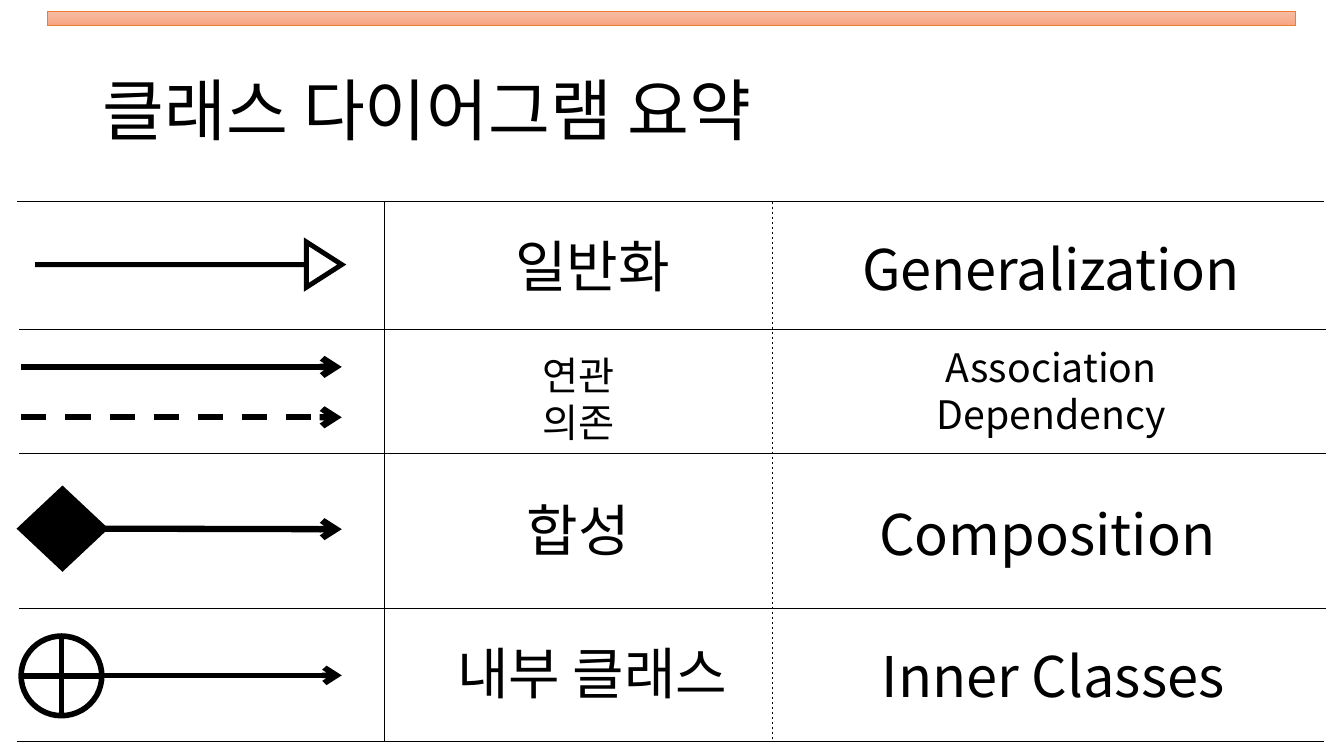
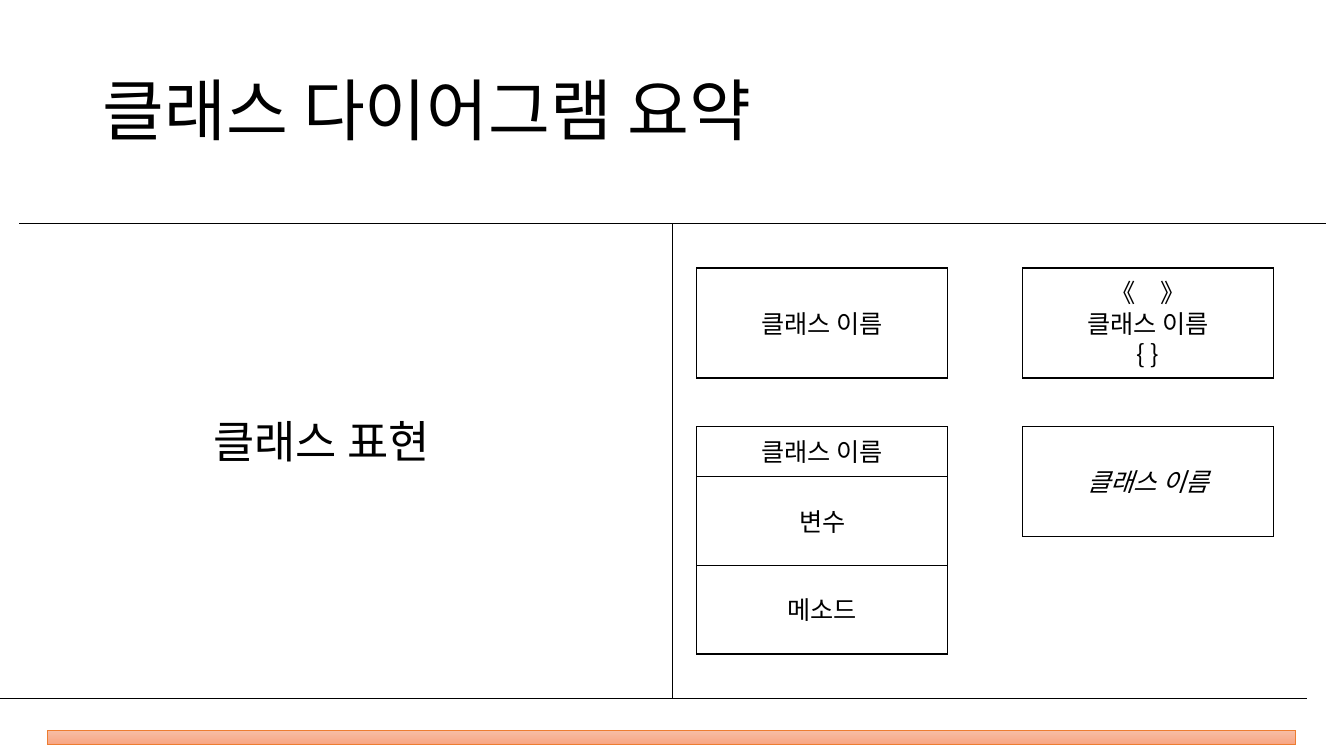
"""Build two slides that summarise class diagram notation."""
from lxml.etree import SubElement
from pptx import Presentation
from pptx.dml.color import RGBColor
from pptx.enum.dml import MSO_LINE
from pptx.enum.shapes import MSO_CONNECTOR, MSO_SHAPE
from pptx.enum.text import MSO_ANCHOR, PP_ALIGN
from pptx.oxml.ns import qn
from pptx.util import Inches, Pt

BLACK = RGBColor(0x00, 0x00, 0x00)
WHITE = RGBColor(0xFF, 0xFF, 0xFF)
ORANGE = RGBColor(0xED, 0x7D, 0x31)
BAND_TOP = RGBColor(0xF7, 0xBD, 0xA5)
BAND_BOTTOM = RGBColor(0xF8, 0xA5, 0x82)
FONT = "Noto Sans CJK KR"
TITLE = "클래스 다이어그램 요약"
CLASS_NAME = "클래스 이름"

SLIDE_WIDTH, SLIDE_HEIGHT = 13.33, 7.5
RULE_WIDTH = 12.96
ROW_EDGES = (2, 3.27, 4.5, 6.04, 7.35)
COLUMN_EDGES = (0.19, 3.81, 7.66, 13.15)
SYMBOL_LEFT, ARROW_TIP = 0.21, 3.39
BOX_COLUMNS = (6.91, 10.14)
BOX_ROWS = (2.66, 4.23)
BOX_WIDTH, BOX_HEIGHT = 2.49, 1.09
NAME_HEIGHT, MEMBER_HEIGHT = 0.5, 0.88

NOTATION_ROWS = (
    (("일반화",), ("Generalization",), 40, (0.14, 0), (0.02, 0.02)),
    (("연관", "의존"), ("Association", "Dependency"), 28, (0, 0.07), (0.02, -0.01)),
    (("합성",), ("Composition",), 40, (0, -0.02), (-0.02, 0.02)),
    (("내부 클래스",), ("Inner Classes",), 40, (0.14, -0.03), (0.04, 0)),
)


def write_text(shape, lines, size, align=PP_ALIGN.CENTER, italic=False):
    """Fill a shape with one paragraph per line, centred vertically."""
    frame = shape.text_frame
    frame.word_wrap = True
    frame.vertical_anchor = MSO_ANCHOR.MIDDLE
    frame.text = "\n".join(lines)
    for paragraph in frame.paragraphs:
        paragraph.alignment = align
        for run in paragraph.runs:
            run.font.size = Pt(size)
            run.font.name = FONT
            run.font.color.rgb = BLACK
            if italic:
                run.font.italic = True
            SubElement(run.font._element, qn("a:ea"), typeface=FONT)


def add_label(slide, box, lines, size, align=PP_ALIGN.CENTER):
    """Add a text box and return it."""
    label = slide.shapes.add_textbox(*map(Inches, box))
    write_text(label, lines, size, align)
    return label


def add_figure(slide, kind, box, width, fill=None, color=BLACK):
    """Add a preset shape with a sharp-cornered outline."""
    figure = slide.shapes.add_shape(kind, *map(Inches, box))
    figure.shadow.inherit = False
    if fill is None:
        figure.fill.background()
    else:
        figure.fill.solid()
        figure.fill.fore_color.rgb = fill
    figure.line.color.rgb = color
    figure.line.width = Pt(width)
    SubElement(figure.element.spPr.find(qn("a:ln")), qn("a:miter"), lim="800000")
    return figure


def add_line(slide, start, end, width=0.5, dashed=False, arrow=False):
    """Add a straight black line, optionally dashed or with an arrowhead."""
    line = slide.shapes.add_connector(
        MSO_CONNECTOR.STRAIGHT, *map(Inches, (*start, *end)))
    line.line.color.rgb = BLACK
    line.line.width = Pt(width)
    if dashed:
        line.line.dash_style = MSO_LINE.DASH
    properties = line.element.spPr
    if arrow:
        SubElement(properties.find(qn("a:ln")), qn("a:tailEnd"), type="arrow")
    SubElement(properties, qn("a:effectLst"))
    return line


def add_rule(slide, left, top):
    """Add a horizontal rule of the common width."""
    add_line(slide, (left, top), (left + RULE_WIDTH, top))


def add_arrow(slide, left, top, width=4.5, dashed=False):
    """Add a horizontal arrow that ends at the common tip."""
    return add_line(slide, (left, top), (ARROW_TIP, top), width, dashed, True)


def add_class_box(slide, box, *lines, italic=False):
    """Add one compartment of a class symbol."""
    compartment = add_figure(slide, MSO_SHAPE.RECTANGLE, box, 1, WHITE)
    write_text(compartment, lines, 18, italic=italic)


def start_slide(presentation, band_top):
    """Add a blank slide with the shared title and gradient band."""
    slide = presentation.slides.add_slide(presentation.slide_layouts[6])
    title = add_label(slide, (0.92, 0.4, 11.5, 1.45), (TITLE,), 48, PP_ALIGN.LEFT)
    title.text_frame.paragraphs[0].line_spacing = 0.9
    band = add_figure(slide, MSO_SHAPE.RECTANGLE,
                      (0.47, band_top, 12.38, 0.14), 0.5, BAND_TOP, ORANGE)
    band.fill.gradient()
    band.fill.gradient_angle = 270
    for stop, color in zip(band.fill.gradient_stops, (BAND_TOP, BAND_BOTTOM)):
        stop.color.rgb = color
    return slide


def add_symbols(slide):
    """Draw the relationship symbols in the first column."""
    triangle_arrow = add_figure(
        slide, MSO_SHAPE.RIGHT_ARROW, (0.35, 2.4, 3.04, 0.45), 3.5)
    triangle_arrow.adjustments[0] = 0
    triangle_arrow.adjustments[1] = 0.78

    add_arrow(slide, SYMBOL_LEFT, 3.64)
    add_arrow(slide, SYMBOL_LEFT, 4.14, dashed=True)

    diamond = add_figure(
        slide, MSO_SHAPE.DIAMOND, (SYMBOL_LEFT, 4.86, 0.82, 0.77), 4.5, BLACK)
    add_arrow(slide, 1.03, 5.25).begin_connect(diamond, 3)

    add_figure(slide, MSO_SHAPE.FLOWCHART_OR, (SYMBOL_LEFT, 6.31, 0.8, 0.79), 4)
    add_arrow(slide, 1.01, 6.7, 4)


def build_relationships(presentation):
    """Build the table of relationship symbols and their names."""
    slide = start_slide(presentation, 0.11)
    first, last = ROW_EDGES[0], ROW_EDGES[-1]
    for top in ROW_EDGES:
        add_rule(slide, 0.17 if top in (first, last) else COLUMN_EDGES[0], top)
    for left, dashed in zip(COLUMN_EDGES[1:3], (False, True)):
        add_line(slide, (left, first), (left, last), dashed=dashed)
    add_symbols(slide)

    for row, (korean, english, size, *shifts) in enumerate(NOTATION_ROWS):
        top, bottom = ROW_EDGES[row:row + 2]
        for column, lines in enumerate((korean, english), 1):
            left, right = COLUMN_EDGES[column:column + 2]
            across, down = shifts[column - 1]
            box = (left + across, top + down, right - left, bottom - top)
            add_label(slide, box, lines, size)


def build_class_notation(presentation):
    """Build the overview of class symbols."""
    slide = start_slide(presentation, 7.25)
    top, bottom, middle = 2.22, 6.93, SLIDE_WIDTH / 2
    add_rule(slide, 0.19, top)
    add_rule(slide, 0, bottom)
    add_line(slide, (middle, top), (middle, bottom))
    add_label(slide, (1.37, 4.05, 3.64, 0.64), ("클래스 표현",), 32)

    left, right = BOX_COLUMNS
    upper, lower = BOX_ROWS
    size = (BOX_WIDTH, BOX_HEIGHT)
    add_class_box(slide, (left, upper, *size), CLASS_NAME)
    add_class_box(slide, (right, upper, *size), "《　》", CLASS_NAME, "{ }")
    add_class_box(slide, (right, lower, *size), CLASS_NAME, italic=True)

    compartment_top = lower
    for text, height in ((CLASS_NAME, NAME_HEIGHT),
                         ("변수", MEMBER_HEIGHT), ("메소드", MEMBER_HEIGHT)):
        add_class_box(slide, (left, compartment_top, BOX_WIDTH, height), text)
        compartment_top += height


def main():
    """Create and save the presentation."""
    presentation = Presentation()
    presentation.slide_width = Inches(SLIDE_WIDTH)
    presentation.slide_height = Inches(SLIDE_HEIGHT)
    build_relationships(presentation)
    build_class_notation(presentation)
    presentation.save("out.pptx")


if __name__ == "__main__":
    main()
